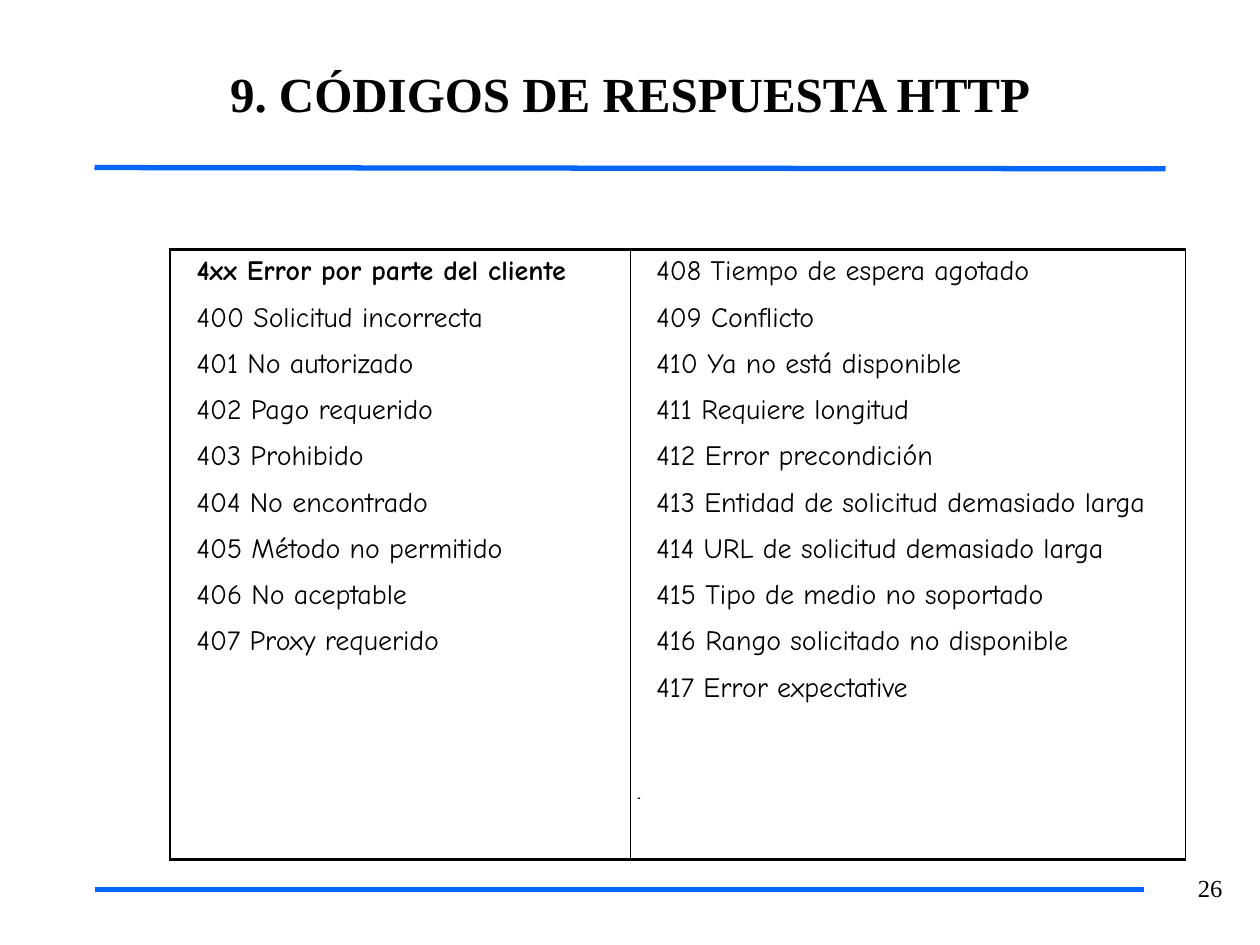
"""Build the slide that lists the HTTP 4xx response codes."""
from itertools import zip_longest

from lxml.etree import SubElement
from pptx import Presentation
from pptx.dml.color import RGBColor
from pptx.enum.shapes import MSO_CONNECTOR, MSO_SHAPE
from pptx.enum.text import MSO_ANCHOR, PP_ALIGN
from pptx.oxml import parse_xml
from pptx.oxml.ns import nsdecls, qn
from pptx.util import Inches, Pt

TITLE = "9. CÓDIGOS DE RESPUESTA HTTP"
PAGE_NUMBER = "26"
CLIENT_ERRORS = [
    "4xx Error por parte del cliente",
    "400 Solicitud incorrecta",
    "401 No autorizado",
    "402 Pago requerido",
    "403 Prohibido",
    "404 No encontrado",
    "405 Método no permitido",
    "406 No aceptable",
    "407 Proxy requerido",
]
MORE_CLIENT_ERRORS = [
    "408 Tiempo de espera agotado",
    "409 Conflicto",
    "410 Ya no está disponible",
    "411 Requiere longitud",
    "412 Error precondición",
    "413 Entidad de solicitud demasiado larga",
    "414 URL de solicitud demasiado larga",
    "415 Tipo de medio no soportado",
    "416 Rango solicitado no disponible",
    "417 Error expectative",
]
RULES = [
    (0.75, 1.33, 9.25, 1.34),
    (0.75, 7.06, 8.92, 7.06),
    (0.92, 7.06, 9.08, 7.06),
]
COLUMN_WIDTHS = [3.65, 4.41]
ROW_HEIGHT, LAST_ROW_HEIGHT = 0.3, 1.54
THEME = {
    "ink": RGBColor(0, 0, 0),
    "rule": RGBColor(0x00, 0x66, 0xFF),
    "heading_font": "Times New Roman",
    "body_font": "Comic Neue",
    "title_size": 28,
    "body_size": 16,
    "number_size": 14,
    "rule_width": 3,
    "frame_width": 1.47,
    "right_width": 1.08,
    "divider_width": 0.45,
}


def add_run(paragraph, text, font, size, bold=False):
    """Add one styled run to a paragraph."""
    run = paragraph.add_run()
    run.text = text
    run.font.name = font
    run.font.size = Pt(size)
    run.font.bold = bold
    run.font.color.rgb = THEME["ink"]


def add_text(slide, box, text, size, alignment, bold=False):
    """Add a text box with one heading-font line and return it."""
    shape = slide.shapes.add_textbox(*map(Inches, box))
    shape.text_frame.word_wrap = True
    paragraph = shape.text_frame.paragraphs[0]
    paragraph.alignment = alignment
    add_run(paragraph, text, THEME["heading_font"], size, bold)
    return shape


def add_rule(slide, ends):
    """Add one blue rule without shadow."""
    rule = slide.shapes.add_connector(MSO_CONNECTOR.STRAIGHT, *map(Inches, ends))
    rule.line.color.rgb = THEME["rule"]
    rule.line.width = Pt(THEME["rule_width"])
    SubElement(rule._element.spPr, qn("a:effectLst"))


def set_borders(cell, widths):
    """Give a cell its left, right, top and bottom borders, where None is no line."""
    properties = cell._tc.get_or_add_tcPr()
    for position, (side, width) in enumerate(zip("LRTB", widths)):
        if width:
            paint = f'<a:solidFill><a:srgbClr val="{THEME["ink"]}"/></a:solidFill>'
        else:
            paint = "<a:noFill/>"
        border = parse_xml(
            f'<a:ln{side} {nsdecls("a")} w="{Pt(width or 0)}">{paint}</a:ln{side}>'
        )
        properties.insert(position, border)


def add_code_table(slide):
    """Add the two-column table of response codes."""
    rows = list(zip_longest(CLIENT_ERRORS, MORE_CLIENT_ERRORS))
    last = len(rows) - 1
    heights = [ROW_HEIGHT] * last + [LAST_ROW_HEIGHT]
    box = (1.35, 1.98, sum(COLUMN_WIDTHS), sum(heights))
    table = slide.shapes.add_table(
        len(rows), len(COLUMN_WIDTHS), *map(Inches, box)
    ).table
    table.first_row = table.horz_banding = False
    for column, width in zip(table.columns, COLUMN_WIDTHS):
        column.width = Inches(width)
    frame, divider = THEME["frame_width"], THEME["divider_width"]
    sides = [(frame, divider), (divider, THEME["right_width"])]
    for row_index, (texts, height) in enumerate(zip(rows, heights)):
        table.rows[row_index].height = Inches(height)
        top = frame if row_index == 0 else None
        bottom = frame if row_index == last else None
        for column_index, text in enumerate(texts):
            cell = table.cell(row_index, column_index)
            cell.fill.background()
            set_borders(cell, (*sides[column_index], top, bottom))
            if text:
                paragraph = cell.text_frame.paragraphs[0]
                paragraph.space_before = Pt(3)
                paragraph._p.get_or_add_pPr().set("marL", str(Inches(0.11)))
                is_heading = row_index == column_index == 0
                add_run(paragraph, text, THEME["body_font"], THEME["body_size"], is_heading)


def main():
    """Build and save the presentation."""
    presentation = Presentation()
    presentation.slide_width, presentation.slide_height = Inches(10), Inches(7.5)
    slide = presentation.slides.add_slide(presentation.slide_layouts[6])
    for ends in RULES:
        add_rule(slide, ends)
    number = add_text(
        slide, (9.36, 6.9, 0.44, 0.32), PAGE_NUMBER, THEME["number_size"], PP_ALIGN.RIGHT
    )
    number.text_frame.paragraphs[0].line_spacing = 0.93
    dash = slide.shapes.add_shape(
        MSO_SHAPE.RECTANGLE, *map(Inches, (5.06, 6.33, 0.02, 0.01))
    )
    dash.shadow.inherit = False
    dash.fill.solid()
    dash.fill.fore_color.rgb = THEME["ink"]
    dash.line.fill.background()
    title = add_text(
        slide, (0.75, 0.49, 8.5, 0.48), TITLE, THEME["title_size"], PP_ALIGN.CENTER, True
    )
    frame = title.text_frame
    frame.vertical_anchor = MSO_ANCHOR.MIDDLE
    frame.margin_left = frame.margin_right = frame.margin_bottom = 0
    frame.margin_top = Inches(0.01)
    add_code_table(slide)
    presentation.save("out.pptx")


if __name__ == "__main__":
    main()
